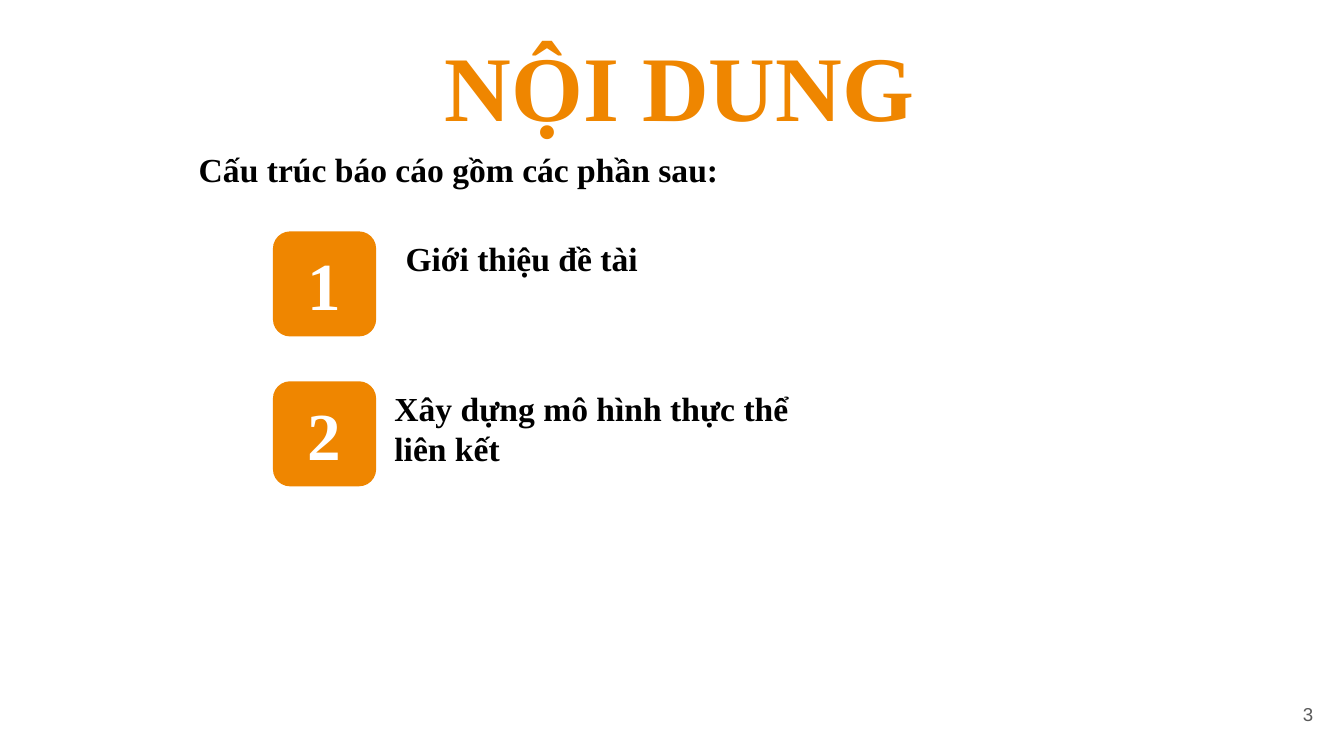
from pptx import Presentation
from pptx.dml.color import RGBColor
from pptx.enum.shapes import MSO_SHAPE
from pptx.enum.text import MSO_ANCHOR, MSO_AUTO_SIZE, PP_ALIGN
from pptx.util import Pt

ORANGE = RGBColor(0xEF, 0x86, 0x00)
WHITE = RGBColor(0xFF, 0xFF, 0xFF)
BLACK = RGBColor(0x00, 0x00, 0x00)
GRAY = RGBColor(0x59, 0x59, 0x59)
SERIF = "Times New Roman"
SANS = "Arial"
ROUND = MSO_SHAPE.ROUNDED_RECTANGLE
LEFT, CENTER, RIGHT = PP_ALIGN.LEFT, PP_ALIGN.CENTER, PP_ALIGN.RIGHT
TOP, MIDDLE = MSO_ANCHOR.TOP, MSO_ANCHOR.MIDDLE
NO_FIT = MSO_AUTO_SIZE.NONE


class Deck:
    def __init__(self, wide, high):
        self.show = Presentation()
        self.show.slide_width = Pt(wide)
        self.show.slide_height = Pt(high)
        self.slide = self.show.slides.add_slide(self.show.slide_layouts[5])

    def label(self, shape, text, size, color, align=LEFT, anchor=TOP,
              font=SERIF, bold=True, wrap=True):
        frame = shape.text_frame
        frame.text = text
        frame.word_wrap = wrap
        frame.auto_size = NO_FIT
        frame.vertical_anchor = anchor
        para = frame.paragraphs[0]
        para.alignment = align
        for run in para.runs:
            run.font.name = font
            run.font.size = Pt(size)
            run.font.bold = bold
            run.font.color.rgb = color

    def title(self, text, x, y, w, h):
        shape = self.slide.shapes.title
        shape.left, shape.top = Pt(x), Pt(y)
        shape.width, shape.height = Pt(w), Pt(h)
        self.label(shape, text, 49.5, ORANGE, wrap=False)

    def text(self, text, x, y, w, h, size=18, color=BLACK, **style):
        box = self.slide.shapes.add_textbox(Pt(x), Pt(y), Pt(w), Pt(h))
        self.label(box, text, size, color, **style)
        return box

    def badge(self, text, x, y, w, h):
        shape = self.slide.shapes.add_shape(ROUND, Pt(x), Pt(y), Pt(w), Pt(h))
        shape.shadow.inherit = False
        shape.fill.solid()
        shape.fill.fore_color.rgb = ORANGE
        shape.line.fill.background()
        self.label(shape, text, 36, WHITE, CENTER, MIDDLE)

    def number(self, text, x, y, w, h):
        box = self.text(text, x, y, w, h, 10, GRAY, align=RIGHT,
                        anchor=MIDDLE, font=SANS, bold=False)
        frame = box.text_frame
        frame.margin_top = frame.margin_bottom = Pt(7.2)


deck = Deck(720, 405)
deck.title("NỘI DUNG", 231.1, 12.2, 268.6, 67)
deck.text("Cấu trúc báo cáo gồm các phần sau:", 99.4, 76.3, 296, 29, wrap=False)

parts = [
    ("Giới thiệu đề tài", 210.2, 201.6, 29),
    ("Xây dựng mô hình thực thể liên kết", 204.2, 226, 51),
]
for i, (name, x, w, h) in enumerate(parts):
    y = 124 + 80.3 * i
    deck.badge(str(i + 1), 146.2, y, 55.3, 56.3)
    deck.text(name, x, y, w, h)

deck.number("3", 667.4, 367.2, 43.2, 31)
deck.show.save("out.pptx")
